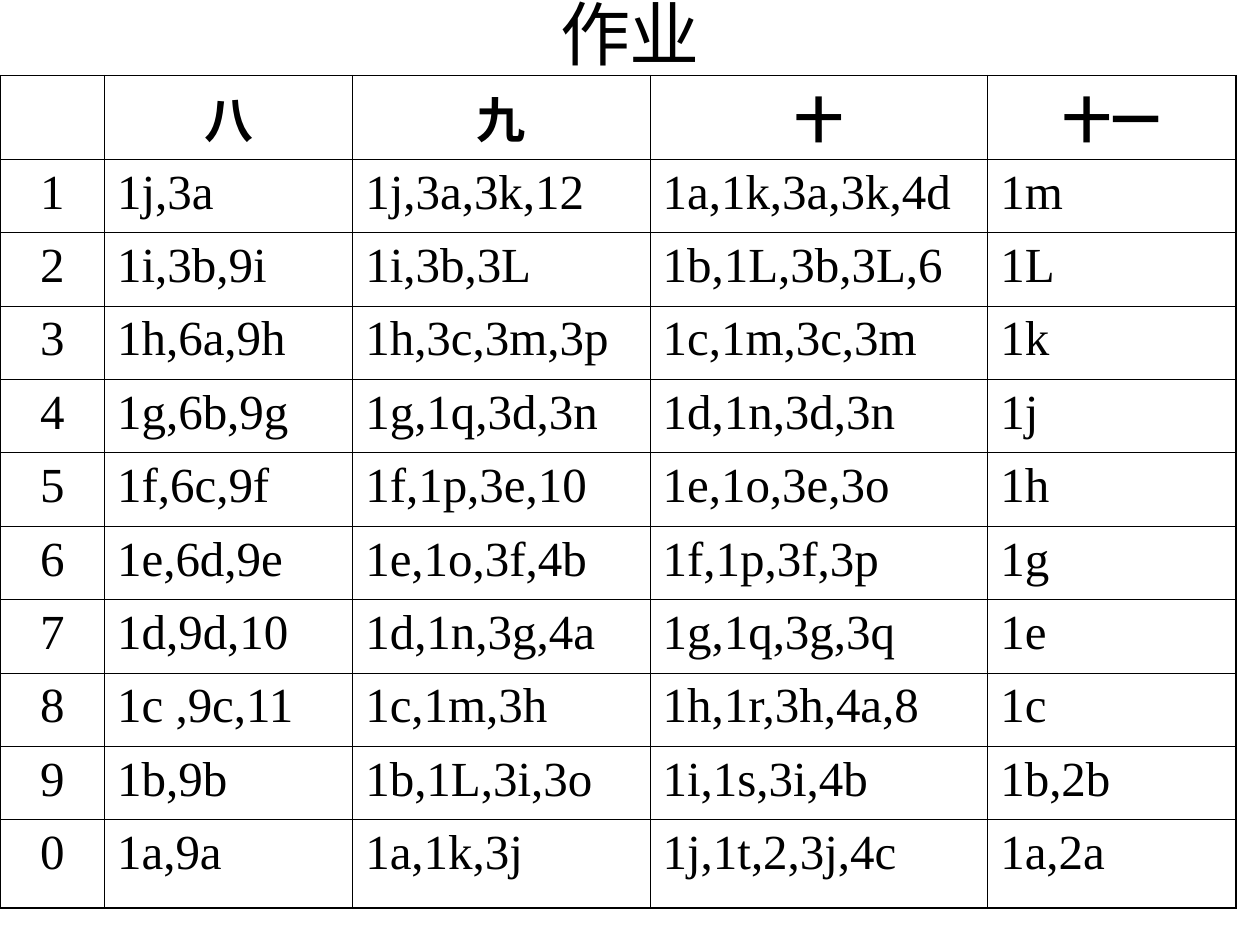
from dataclasses import dataclass

from lxml.etree import SubElement
from pptx import Presentation
from pptx.dml.color import RGBColor
from pptx.enum.text import MSO_ANCHOR, MSO_AUTO_SIZE, PP_ALIGN
from pptx.oxml.ns import qn
from pptx.slide import Slide
from pptx.table import Table, _Cell
from pptx.text.text import TextFrame
from pptx.util import Inches, Pt


@dataclass(frozen=True)
class Theme:
    font: str = "Times New Roman"
    ink: str = "000000"
    title: int = 40
    body: int = 28
    thin: float = 0.45
    thick: float = 1.08


@dataclass(frozen=True)
class Box:
    """A frame in percent of the slide's width and height."""
    left: float
    top: float
    width: float
    height: float


THEME = Theme()
WIDTH, HEIGHT = Inches(10), Inches(7.5)
TITLE = Box(7.5, 0, 85, 6.93)
GRID = Box(0, 8, 98, 87.07)

# Column widths and the last row's height, in percent of the slide
COLS = (8.3, 19.7, 23.6, 26.8, 19.7)
LAST = 9.33

TASKS = (
    ("", "八", "九", "十", "十一"),
    ("1", "1j,3a", "1j,3a,3k,12", "1a,1k,3a,3k,4d", "1m"),
    ("2", "1i,3b,9i", "1i,3b,3L", "1b,1L,3b,3L,6", "1L"),
    ("3", "1h,6a,9h", "1h,3c,3m,3p", "1c,1m,3c,3m", "1k"),
    ("4", "1g,6b,9g", "1g,1q,3d,3n", "1d,1n,3d,3n", "1j"),
    ("5", "1f,6c,9f", "1f,1p,3e,10", "1e,1o,3e,3o", "1h"),
    ("6", "1e,6d,9e", "1e,1o,3f,4b", "1f,1p,3f,3p", "1g"),
    ("7", "1d,9d,10", "1d,1n,3g,4a", "1g,1q,3g,3q", "1e"),
    ("8", "1c ,9c,11", "1c,1m,3h", "1h,1r,3h,4a,8", "1c"),
    ("9", "1b,9b", "1b,1L,3i,3o", "1i,1s,3i,4b", "1b,2b"),
    ("0", "1a,9a", "1a,1k,3j", "1j,1t,2,3j,4c", "1a,2a"),
)


def across(share: float) -> int:
    return round(WIDTH * share / 100)


def down(share: float) -> int:
    return round(HEIGHT * share / 100)


def place(box: Box) -> tuple[int, int, int, int]:
    return across(box.left), down(box.top), across(box.width), down(box.height)


def write(frame: TextFrame, text: str, size: int, mid: bool, bold: bool = False) -> None:
    para = frame.paragraphs[0]
    para.text = text
    para.alignment = PP_ALIGN.CENTER if mid else PP_ALIGN.LEFT
    font = para.font
    font.name, font.size, font.bold = THEME.font, Pt(size), bold
    font.color.rgb = RGBColor.from_string(THEME.ink)


def rule(cell: _Cell, edges: dict[str, bool]) -> None:
    """Draw the four borders; the outer ones are thick."""
    props = cell._tc.get_or_add_tcPr()
    for side, outer in edges.items():
        width = Pt(THEME.thick if outer else THEME.thin)
        line = SubElement(props, qn(f"a:ln{side}"), w=str(int(width)))
        fill = SubElement(line, qn("a:solidFill"))
        SubElement(fill, qn("a:srgbClr"), val=THEME.ink)


def fill_grid(table: Table) -> None:
    end_row, end_col = len(TASKS) - 1, len(COLS) - 1
    for row, tasks in enumerate(TASKS):
        for col, text in enumerate(tasks):
            cell = table.cell(row, col)
            write(cell.text_frame, text, THEME.body,
                  mid=row == 0 or col == 0, bold=row == 0)
            rule(cell, {"L": col == 0, "R": col == end_col,
                        "T": row == 0, "B": row == end_row})
            cell.fill.background()


def add_title(slide: Slide, text: str) -> None:
    frame = slide.shapes.add_textbox(*place(TITLE)).text_frame
    frame.word_wrap = True
    frame.auto_size = MSO_AUTO_SIZE.NONE
    frame.vertical_anchor = MSO_ANCHOR.MIDDLE
    write(frame, text, THEME.title, mid=True)


def add_grid(slide: Slide) -> None:
    table = slide.shapes.add_table(len(TASKS), len(COLS), *place(GRID)).table
    table.first_row = table.horz_banding = False
    for col, share in zip(table.columns, COLS):
        col.width = across(share)
    # Equal rows, with a taller one at the foot
    step = (GRID.height - LAST) / (len(TASKS) - 1)
    for row in table.rows:
        row.height = down(step)
    table.rows[len(TASKS) - 1].height = down(LAST)
    fill_grid(table)


def main() -> None:
    deck = Presentation()
    deck.slide_width, deck.slide_height = WIDTH, HEIGHT
    slide = deck.slides.add_slide(deck.slide_layouts[6])
    add_title(slide, "作业")
    add_grid(slide)
    deck.save("out.pptx")


if __name__ == "__main__":
    main()
